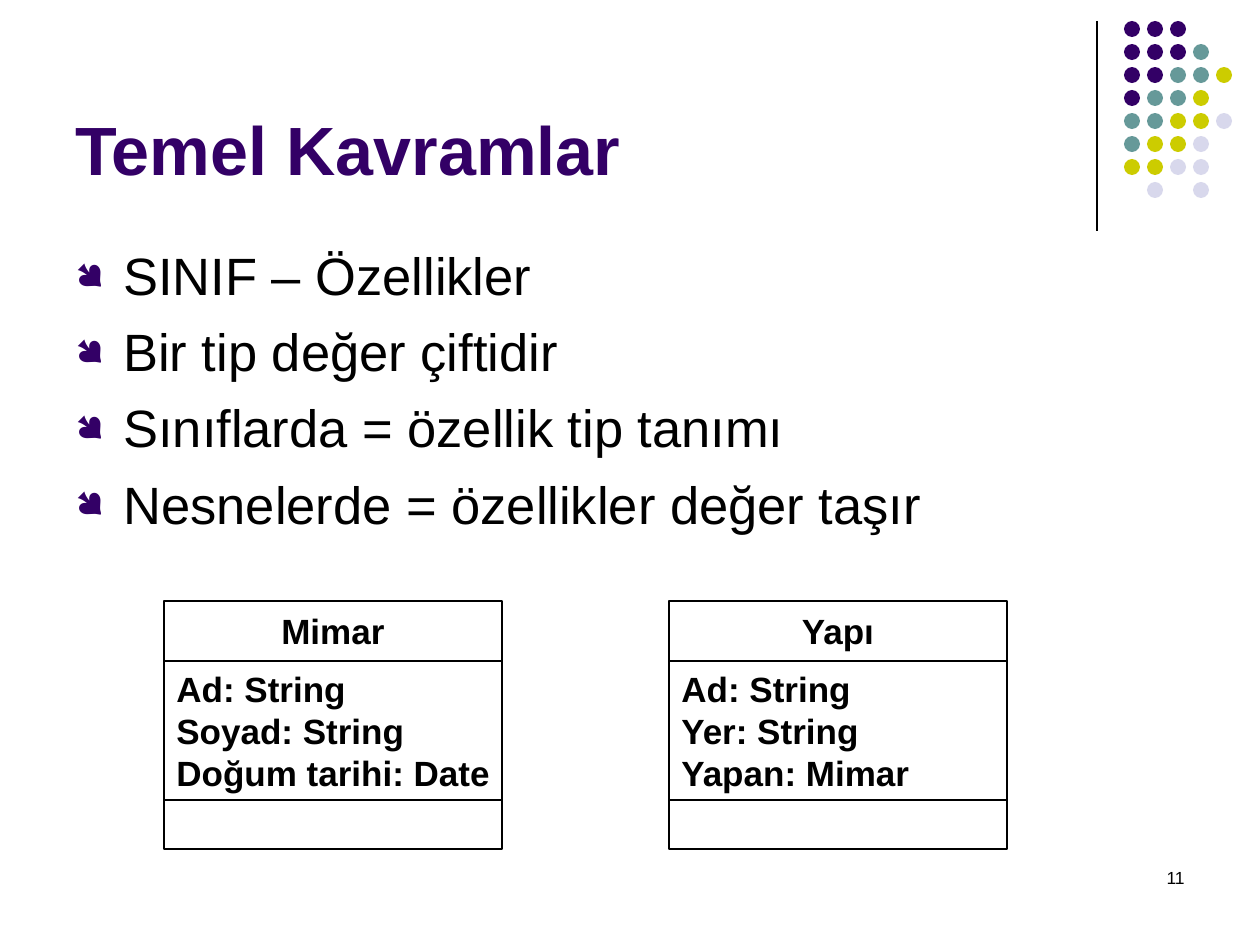
from lxml.etree import SubElement
from pptx import Presentation
from pptx.dml.color import RGBColor as RGB
from pptx.enum.shapes import MSO_CONNECTOR as LINE, MSO_SHAPE as SHAPE
from pptx.enum.text import MSO_ANCHOR as ANCHOR, PP_ALIGN as ALIGN
from pptx.oxml.ns import qn
from pptx.util import Emu, Pt

THEME = {
    "font": "Arial",
    "ink": RGB.from_string("000000"),
    "purple": RGB.from_string("330066"),
    "teal": RGB.from_string("669999"),
    "olive": RGB.from_string("CCCC00"),
    "pale": RGB.from_string("D8D8EC"),
    "title": Pt(39), "body": Pt(30), "class": Pt(20), "number": Pt(10),
    "line": Pt(0.75),
}
SCALE = 914400 / 126


def px(*lengths):
    return [Emu(round(n * SCALE)) for n in lengths]


def write(shape, lines, size, color="ink", bold=False, align=ALIGN.LEFT,
          anchor=ANCHOR.TOP, wrap=True):
    frame = shape.text_frame
    frame.word_wrap = wrap
    frame.vertical_anchor = anchor
    frame.text = "\n".join(lines)
    look = {"name": THEME["font"], "size": THEME[size], "bold": bold}
    for paragraph in frame.paragraphs:
        paragraph.alignment = align
        font = paragraph.runs[0].font
        for key, value in look.items():
            setattr(font, key, value)
        font.color.rgb = THEME[color]
    return frame.paragraphs


prs = Presentation()
prs.slide_width, prs.slide_height = px(1260, 945)
slide = prs.slides.add_slide(prs.slide_layouts[6])
shapes = slide.shapes

# Corner rule
rule = shapes.add_connector(LINE.STRAIGHT, *px(1097, 21, 1097, 231))
rule.line.color.rgb = THEME["ink"]
rule.line.width = THEME["line"]
SubElement(rule._element.spPr, qn("a:effectLst"))

# Corner dots, one letter per colour
DOT_COLORS = {"p": "purple", "t": "teal", "o": "olive", "l": "pale"}
DOT_ROWS = ["ppp", "pppt", "pptto", "ptto", "ttool", "tool", "ooll", " l l"]
dots = shapes.add_group_shape()
for row, letters in enumerate(DOT_ROWS):
    for col, letter in enumerate(letters):
        if letter == " ":
            continue
        dot = dots.shapes.add_shape(
            SHAPE.OVAL, *px(1124 + 23 * col, 21 + 23 * row, 16, 16))
        dot.shadow.inherit = False
        dot.fill.solid()
        dot.fill.fore_color.rgb = THEME[DOT_COLORS[letter]]
        dot.line.fill.background()

# Slide number and title
number = shapes.add_textbox(*px(903, 861, 294, 63))
write(number, ["11"], "number", align=ALIGN.RIGHT)
title = shapes.add_textbox(*px(63, 16, 1040, 179))
write(title, ["Temel Kavramlar"], "title", "purple", True, anchor=ANCHOR.BOTTOM)

# Bullet points
points = shapes.add_textbox(*px(63, 237, 1134, 315))
indent, = px(48)
for i, paragraph in enumerate(write(points, [
        "SINIF – Özellikler",
        "Bir tip değer çiftidir",
        "Sınıflarda = özellik tip tanımı",
        "Nesnelerde = özellikler değer taşır"], "body")):
    if i:
        paragraph.space_before = Pt(7.5)
    props = paragraph._p.get_or_add_pPr()
    props.set("marL", str(indent))
    props.set("indent", str(-indent))
    bullet_color = SubElement(props, qn("a:buClr"))
    SubElement(bullet_color, qn("a:srgbClr"), val=str(THEME["purple"]))
    SubElement(props, qn("a:buSzPct"), val="70000")
    SubElement(props, qn("a:buFont"), typeface="Wingdings")
    SubElement(props, qn("a:buChar"), char="●")

# Class diagrams: name, attributes, empty operations
CLASSES = [
    (164, "Mimar", ["Ad: String", "Soyad: String", "Doğum tarihi: Date"]),
    (669, "Yapı", ["Ad: String", "Yer: String", "Yapan: Mimar"]),
]
for left, name, attributes in CLASSES:
    top = 601
    for lines, height, align in [([name], 60, ALIGN.CENTER),
                                 (attributes, 139, ALIGN.LEFT),
                                 ([], 49, ALIGN.LEFT)]:
        section = shapes.add_shape(SHAPE.RECTANGLE, *px(left, top, 338, height))
        section.shadow.inherit = False
        section.fill.background()
        section.line.color.rgb = THEME["ink"]
        section.line.width = THEME["line"]
        if lines:
            write(section, lines, "class", bold=True, align=align,
                  anchor=ANCHOR.MIDDLE, wrap=False)
        top += height

prs.save("out.pptx")
